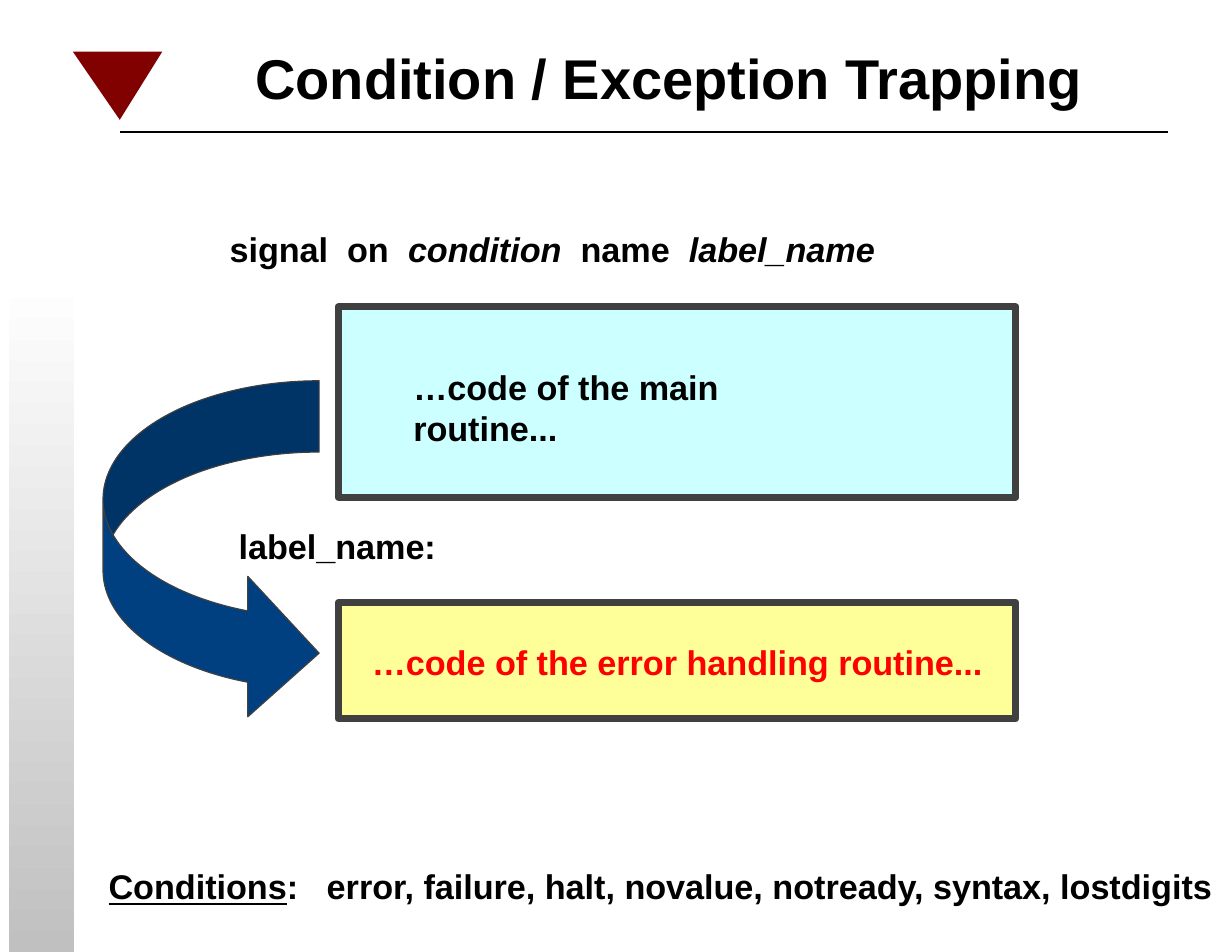
import pptx
import pptx.util
import pptx.dml.color
import pptx.enum.shapes
import pptx.enum.text
import pptx.oxml.ns
import lxml.etree

Inches, Pt = pptx.util.Inches, pptx.util.Pt
SHAPE = pptx.enum.shapes.MSO_SHAPE
COLORS = {
    "black": "000000", "red": "FF0000", "maroon": "810000", "edge": "404040",
    "cyan": "CCFFFF", "yellow": "FFFF99", "blue": "004080",
    "grey": "C0C0C0", "white": "FFFFFF",
}


def rgb(name):
    return pptx.dml.color.RGBColor.from_string(COLORS[name])


def style(shape, fill, width):
    shape.shadow.inherit = False
    if fill:
        shape.fill.solid()
        shape.fill.fore_color.rgb = rgb(fill)
    if width:
        shape.line.color.rgb = rgb("edge")
        shape.line.width = Pt(width)
    else:
        shape.line.fill.background()


deck = pptx.Presentation()
deck.slide_width, deck.slide_height = Inches(11), Inches(8.5)
slide = deck.slides.add_slide(deck.slide_layouts[6])
shapes = slide.shapes

# Side strip, fading upwards
strip = shapes.add_shape(SHAPE.RECTANGLE, Inches(0.08), Inches(2.47), Inches(0.58), Inches(6.03))
style(strip, None, 0)
strip.fill.gradient()
strip.fill.gradient_angle = 90
for stop, name in zip(strip.fill.gradient_stops, ("grey", "white")):
    stop.color.rgb = rgb(name)

# Title marker
pen = shapes.build_freeform(Inches(0.65), Inches(0.46))
pen.add_line_segments([(Inches(1.07), Inches(1.07)), (Inches(1.45), Inches(0.46))])
style(pen.convert_to_shape(), "maroon", 0)

# Code boxes
for top, height, fill in ((2.74, 1.7, "cyan"), (5.38, 1.04, "yellow")):
    box = shapes.add_shape(SHAPE.RECTANGLE, Inches(3.02), Inches(top), Inches(6.05), Inches(height))
    style(box, fill, 4.5)

# Title rule and the thin line under the main box
for start, end, y, color, width in (
    (1.07, 10.43, 1.18, "black", 1.5),
    (6.14, 3.85, 4.44, "edge", 0.75),
):
    rule = shapes.add_connector(pptx.enum.shapes.MSO_CONNECTOR.STRAIGHT,
                                Inches(start), Inches(y), Inches(end), Inches(y))
    rule.line.color.rgb = rgb(color)
    rule.line.width = Pt(width)
    lxml.etree.SubElement(rule._element.spPr, pptx.oxml.ns.qn("a:effectLst"))

# Jump from the main routine to the handler
jump = shapes.add_shape(SHAPE.CURVED_RIGHT_ARROW, Inches(0.92), Inches(3.4), Inches(1.93), Inches(3.06))
for i, value in enumerate((0.33, 0.65, 0.33)):
    jump.adjustments[i] = value
style(jump, "blue", 0.75)

# Texts: left, top, width, height, size, color, runs (text, italic, underline)
texts = [
    (2.17, 0.33, 7.64, 0.71, 36, "black", [("Condition / Exception Trapping", False, False)]),
    (1.94, 1.98, 5.99, 0.48, 22, "black", [
        ("signal  on  ", False, False), ("condition", True, False),
        ("  name  ", False, False), ("label_name", True, False)]),
    (3.58, 3.21, 4.32, 0.48, 22, "black", [("…code of the main routine...", False, False)]),
    (2.02, 4.63, 1.99, 0.48, 22, "black", [("label_name:", False, False)]),
    (3.21, 5.67, 5.68, 0.48, 22, "red", [("…code of the error handling routine...", False, False)]),
    (0.86, 7.67, 10.12, 0.48, 22, "black", [
        ("Conditions", False, True),
        (":   error, failure, halt, novalue, notready, syntax, lostdigits", False, False)]),
]
for left, top, width, height, size, color, runs in texts:
    frame = shapes.add_textbox(Inches(left), Inches(top), Inches(width), Inches(height)).text_frame
    frame.word_wrap = False
    frame.auto_size = pptx.enum.text.MSO_AUTO_SIZE.SHAPE_TO_FIT_TEXT
    frame.margin_left = frame.margin_right = Inches(0.11)
    frame.margin_top = frame.margin_bottom = Inches(0.06)
    para = frame.paragraphs[0]
    para.font.name, para.font.size, para.font.bold = "Arial", Pt(size), True
    para.font.color.rgb = rgb(color)
    for words, italic, under in runs:
        run = para.add_run()
        run.text = words
        if italic:
            run.font.italic = True
        if under:
            run.font.underline = True

deck.save("out.pptx")
